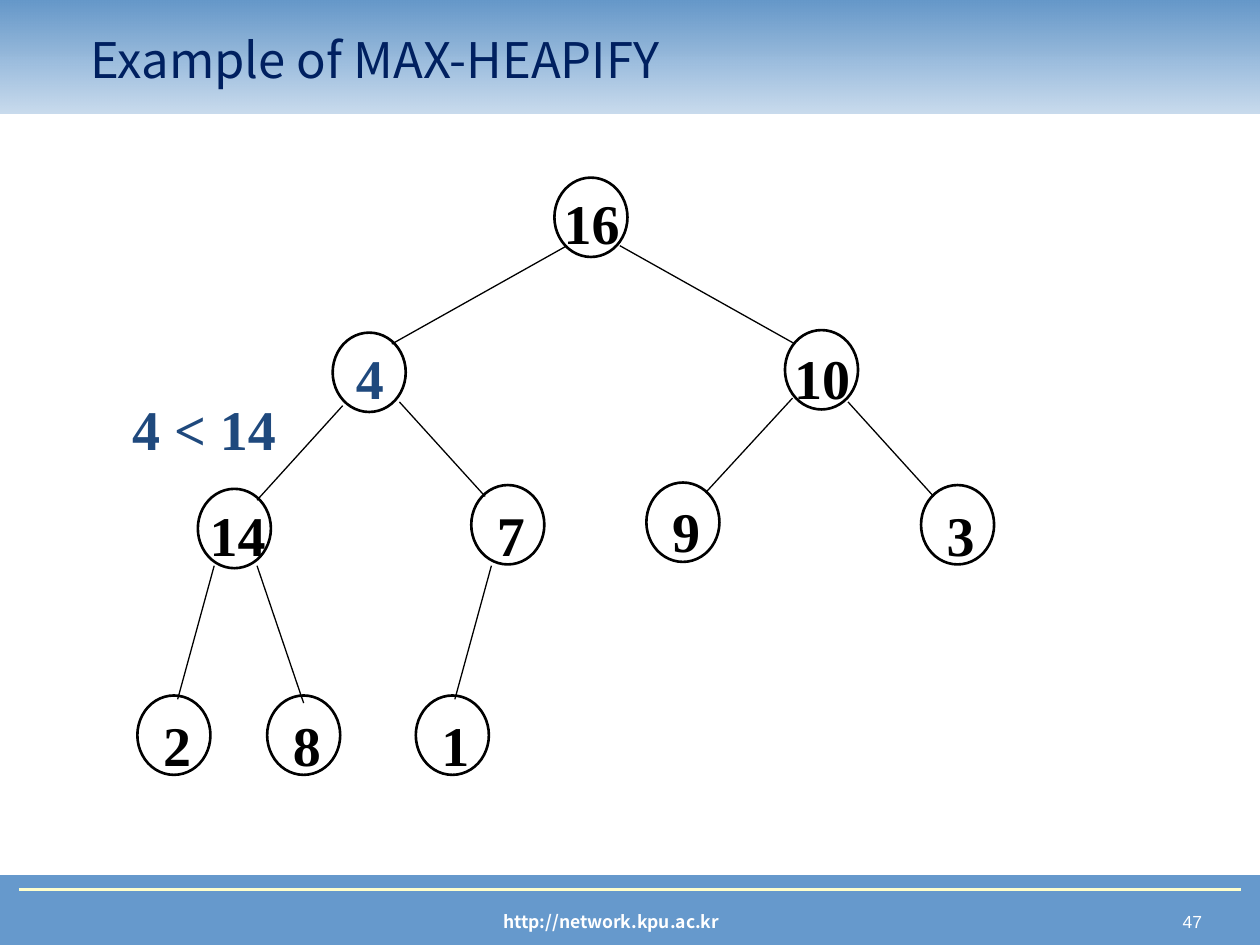
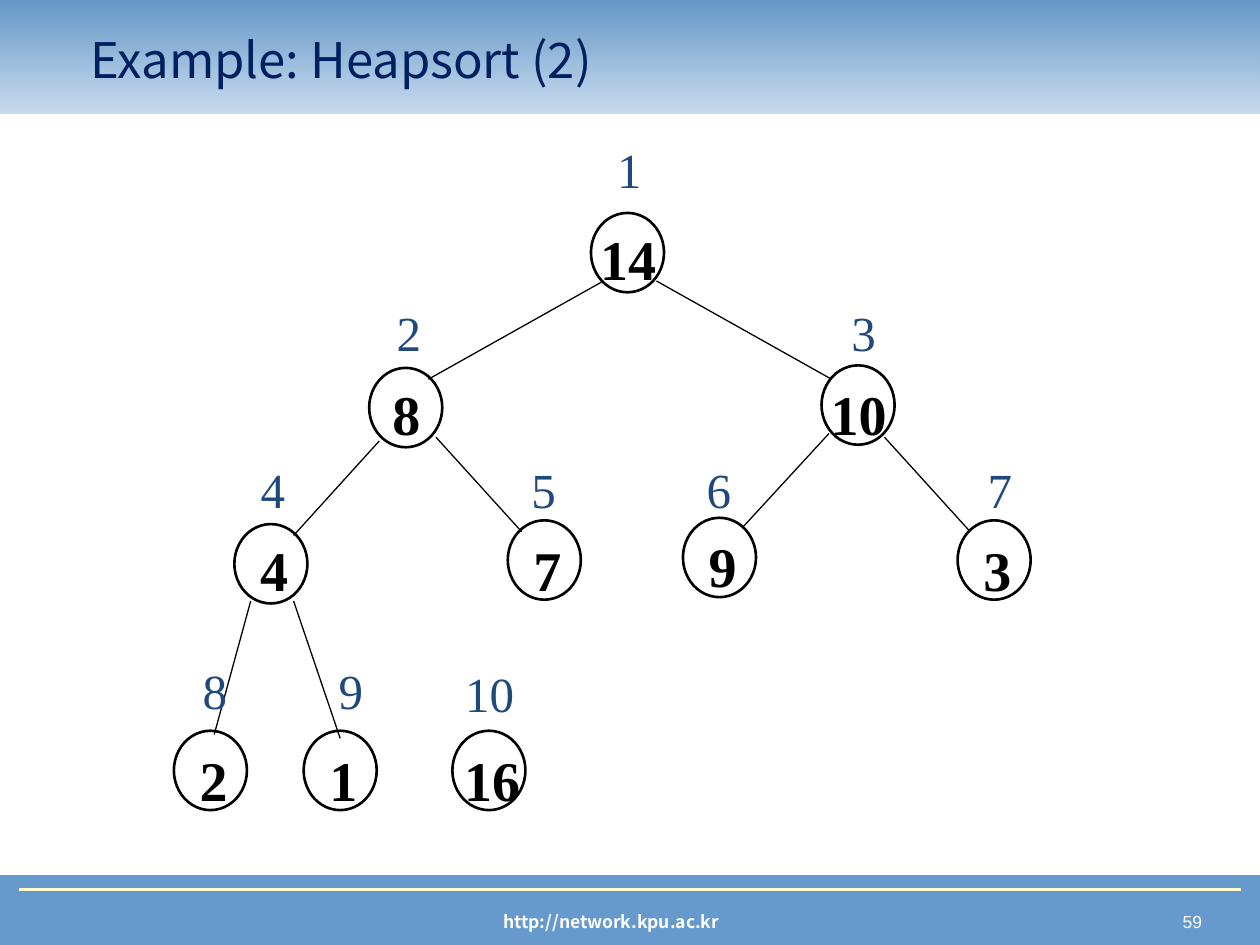
import pptx
import pptx.util
import pptx.dml.color
import pptx.enum.shapes
import pptx.enum.text
import pptx.oxml.ns
import lxml.etree

RGB = pptx.dml.color.RGBColor
BLACK = RGB(0x00, 0x00, 0x00)
WHITE = RGB(0xFF, 0xFF, 0xFF)
NAVY = RGB(0x00, 0x20, 0x60)
ACCENT = RGB(0x1F, 0x49, 0x7D)
BAND = RGB(0x66, 0x99, 0xCC)
BAND_TOP = RGB(0x64, 0x97, 0xC9)
CREAM = RGB(0xFF, 0xFF, 0xCC)
SANS, SERIF, PAGE_FONT = "Noto Sans CJK KR", "Times New Roman", "Arial"
SHAPE = pptx.enum.shapes.MSO_SHAPE
ALIGN = pptx.enum.text.PP_ALIGN
qn = pptx.oxml.ns.qn

prs = pptx.Presentation()
prs.slide_width = pptx.util.Inches(10)
prs.slide_height = pptx.util.Inches(7.5)
COL = prs.slide_width // 1000
ROW = prs.slide_height // 750

NODE_W, NODE_H = 58, 63
LABEL_W, LABEL_H = 79, 64
INDEX_H = 57

# node x, node y, label dx, label dy
NODES = [
    (440, 141, -10, 0),
    (264, 264, -10, 0), (623, 262, -10, 2),
    (157, 388, -8, 0), (374, 385, -8, 3), (513, 383, -8, 2), (731, 385, -8, 3),
    (109, 552, -8, 3), (212, 552, -8, 3), (330, 552, -8, 3),
]
EDGES = [
    (450, 195, 311, 273), (492, 195, 631, 273),
    (272, 322, 204, 397), (317, 319, 385, 394),
    (629, 316, 560, 391), (673, 319, 741, 394),
    (170, 449, 141, 555), (204, 449, 241, 558), (390, 449, 361, 555),
]
INDEXES = [
    (480, 102, 39), (305, 231, 39), (666, 231, 39),
    (197, 356, 39), (412, 356, 39), (551, 356, 39), (774, 356, 39),
    (151, 515, 39), (259, 515, 39), (359, 518, 59),
]
SLIDES = [
    {"title": "Example of MAX-HEAPIFY", "page": "47", "shift": (0, 0), "edges": 9,
     "heap": [16, 4, 10, 14, 7, 9, 3, 2, 8, 1], "moving": 1,
     "notes": [("4 < 14", 95, 304, 134, LABEL_H, 32, True)]},
    {"title": "Example: Heapsort (2)", "page": "59", "shift": (29, 28), "edges": 8,
     "heap": [14, 8, 10, 4, 7, 9, 3, 2, 1, 16], "moving": None,
     "notes": [(str(i), x, y, w, INDEX_H, 28, False)
               for i, (x, y, w) in enumerate(INDEXES, 1)]},
]


def add_text(s, text, x, y, w, h, size, font, color, bold=False, top=9):
    tf = s.shapes.add_textbox(x * COL, y * ROW, w * COL, h * ROW).text_frame
    tf.word_wrap = True
    tf.margin_left = tf.margin_right = tf.margin_bottom = 0
    tf.margin_top = top * ROW
    tf.text = text
    p = tf.paragraphs[0]
    p.alignment = ALIGN.CENTER
    r = p.runs[0]
    r.font.size = pptx.util.Pt(size)
    r.font.name = font
    r.font.bold = bold
    r.font.color.rgb = color
    return tf


def add_line(s, x1, y1, x2, y2, color, width):
    line = s.shapes.add_connector(pptx.enum.shapes.MSO_CONNECTOR.STRAIGHT,
                                  x1 * COL, y1 * ROW, x2 * COL, y2 * ROW)
    line.line.color.rgb = color
    line.line.width = pptx.util.Pt(width)
    lxml.etree.SubElement(line._element.spPr, qn("a:effectLst"))


for data in SLIDES:
    s = prs.slides.add_slide(prs.slide_layouts[5])

    footer = s.shapes.add_shape(SHAPE.RECTANGLE, 0, 695 * ROW, 1000 * COL, 55 * ROW)
    footer.shadow.inherit = False
    footer.fill.solid()
    footer.fill.fore_color.rgb = BAND
    footer.line.color.rgb = BAND
    footer.line.width = pptx.util.Pt(0.75)
    tf = add_text(s, data["page"], 742, 718, 226, 27, 10, PAGE_FONT, WHITE, top=5)
    tf.paragraphs[0].alignment = ALIGN.RIGHT
    tf.margin_right = 14 * COL
    add_text(s, "http://network.kpu.ac.kr", 227, 718, 516, 27, 10, SANS, WHITE, True, top=5)
    add_line(s, 15, 706, 985, 706, CREAM, 1.5)

    header = s.shapes.add_shape(SHAPE.RECTANGLE, 0, 0, 1000 * COL, 90 * ROW)
    header.shadow.inherit = False
    header.line.fill.background()
    header.fill.gradient()
    header.fill.gradient_angle = 90
    for stop, color in zip(header.fill.gradient_stops, (BAND, BAND_TOP)):
        stop.color.rgb = color
    pale = next(header._element.spPr.iter(qn("a:srgbClr")))
    lxml.etree.SubElement(pale, qn("a:alpha")).set("val", "35000")

    title = s.shapes.title
    s.shapes._spTree.append(title._element)
    title.left, title.top = 62 * COL, 16 * ROW
    title.width, title.height = 844 * COL, 62 * ROW
    tf = title.text_frame
    tf.text = data["title"]
    tf.vertical_anchor = pptx.enum.text.MSO_ANCHOR.MIDDLE
    p = tf.paragraphs[0]
    p.alignment = ALIGN.LEFT
    r = p.runs[0]
    r.font.size = pptx.util.Pt(28)
    r.font.name = SANS
    r.font.color.rgb = NAVY

    dx, dy = data["shift"]
    for x1, y1, x2, y2 in EDGES[:data["edges"]]:
        add_line(s, x1 + dx, y1 + dy, x2 + dx, y2 + dy, BLACK, 0.75)
    for i, (x, y, label_dx, label_dy) in enumerate(NODES):
        x, y = x + dx, y + dy
        node = s.shapes.add_shape(SHAPE.OVAL, x * COL, y * ROW, NODE_W * COL, NODE_H * ROW)
        node.shadow.inherit = False
        node.fill.background()
        node.line.color.rgb = BLACK
        node.line.width = pptx.util.Pt(1.5)
        add_text(s, str(data["heap"][i]), x + label_dx, y + label_dy, LABEL_W, LABEL_H,
                 32, SERIF, ACCENT if i == data["moving"] else BLACK, True)
    for text, x, y, w, h, size, bold in data["notes"]:
        add_text(s, text, x, y, w, h, size, SERIF, ACCENT, bold)

prs.save("out.pptx")
